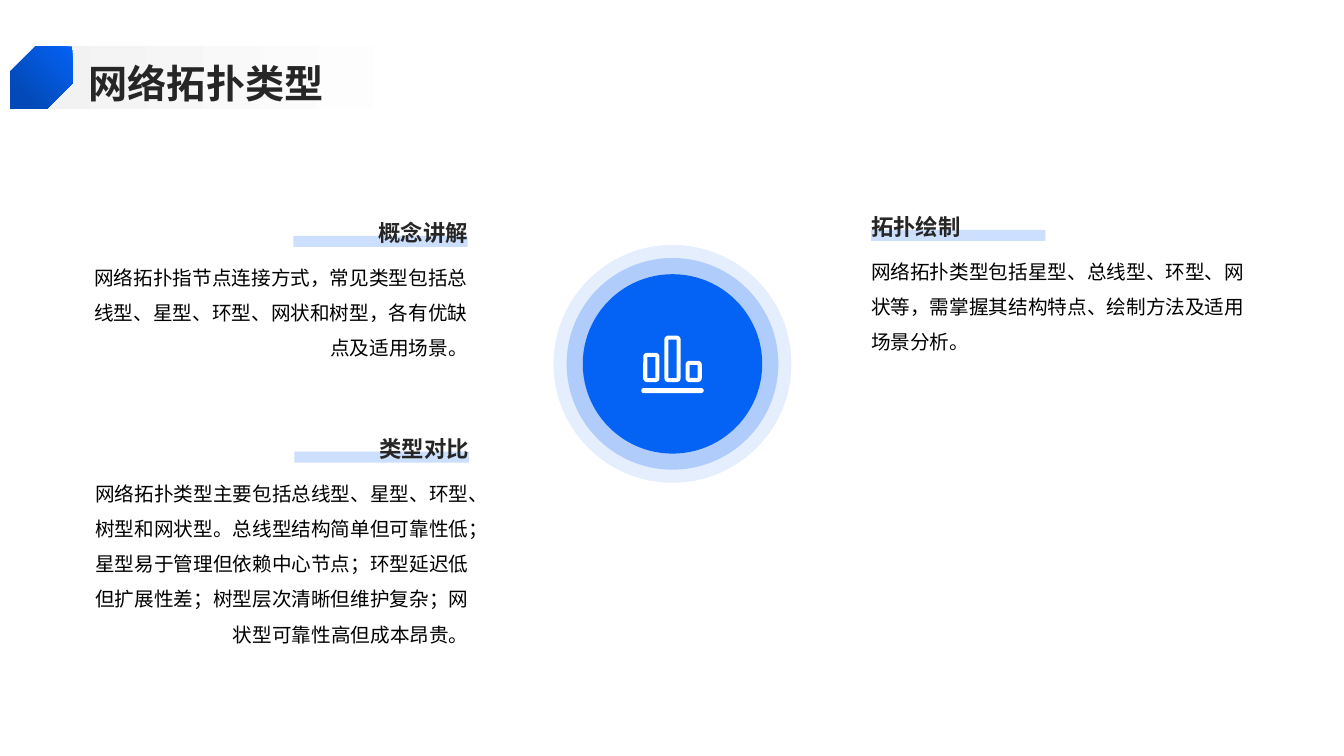
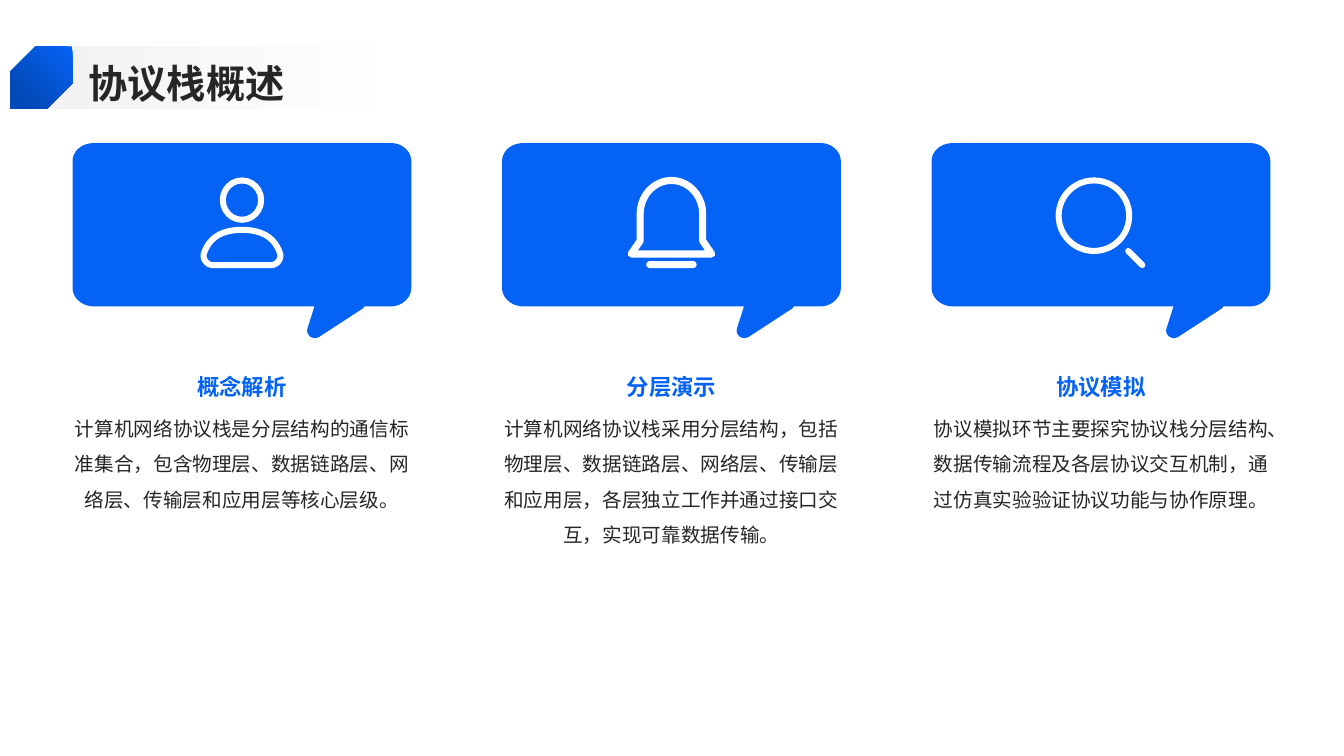
from dataclasses import dataclass

from lxml.etree import SubElement
from pptx import Presentation
from pptx.dml.color import RGBColor as RGB
from pptx.enum.shapes import MSO_CONNECTOR as CONN, MSO_SHAPE as SHAPE
from pptx.enum.text import MSO_ANCHOR as ANCHOR, PP_ALIGN as ALIGN
from pptx.oxml.ns import qn
from pptx.util import Pt

PX = 9144
BEZIER_STEPS = 10


@dataclass(frozen=True)
class Theme:
    """Colours, font and type sizes shared by the slides."""
    blue: str = "0462F5"
    navy: str = "034AB8"
    pale: str = "CCDFFE"
    band: str = "F2F2F2"
    white: str = "FFFFFF"
    ink: str = "262626"
    black: str = "000000"
    font: str = "Noto Sans CJK SC"
    title: int = 28
    heading: int = 16
    body: int = 14


T = Theme()


def px(*values):
    """Turn px lengths into EMU."""
    return [v * PX for v in values]


def paint(sp, fill=None, line=None, weight=0):
    """Give a shape a flat fill and outline without shadow."""
    sp.shadow.inherit = False
    if fill:
        sp.fill.solid()
        sp.fill.fore_color.rgb = RGB.from_string(fill)
    else:
        sp.fill.background()
    if line:
        sp.line.color.rgb = RGB.from_string(line)
        sp.line.width = weight * PX
    else:
        sp.line.fill.background()
    return sp


def shape(s, kind, box, fill=None, line=None, weight=0, adj=()):
    """Add a preset shape."""
    sp = s.shapes.add_shape(kind, *px(*box))
    for i, value in enumerate(adj):
        sp.adjustments[i] = value
    return paint(sp, fill, line, weight)


def gradient(sp, colours, angle):
    """Fill a shape with two colours, the second reached at 80%."""
    sp.fill.gradient()
    sp.fill.gradient_angle = angle
    for stop, colour, position in zip(sp.fill.gradient_stops, colours, (0, 0.8)):
        stop.color.rgb = RGB.from_string(colour)
        stop.position = position


def bezier(a, b, c, d):
    """Return points along a cubic curve, without its start."""
    points = []
    for i in range(1, BEZIER_STEPS + 1):
        t = i / BEZIER_STEPS
        u = 1 - t
        weights = (u ** 3, 3 * u * u * t, 3 * u * t * t, t ** 3)
        points.append(tuple(sum(w * p[k] for w, p in zip(weights, (a, b, c, d)))
                            for k in (0, 1)))
    return points


def outline(s, dx, path, fill=None, line=None, weight=0):
    """Draw a closed outline from points and six-number curves, moved by dx."""
    points = [path[0]]
    for step in path[1:]:
        if len(step) == 2:
            points.append(step)
        else:
            points += bezier(points[-1], step[:2], step[2:4], step[4:])
    emu = [((x + dx) * PX, y * PX) for x, y in points]
    builder = s.shapes.build_freeform(*emu[0], scale=1.0)
    builder.add_line_segments(emu[1:], close=True)
    return paint(builder.convert_to_shape(), fill, line, weight)


def text(s, box, words, size, colour, bold=False, align=ALIGN.LEFT,
         anchor=ANCHOR.TOP, spacing=1.5):
    """Add a wrapped text box without insets."""
    tf = s.shapes.add_textbox(*px(*box)).text_frame
    tf.word_wrap = True
    tf.margin_left = tf.margin_top = tf.margin_right = tf.margin_bottom = 0
    tf.vertical_anchor = anchor
    p = tf.paragraphs[0]
    p.text = words
    p.alignment = align
    p.line_spacing = spacing
    r = p.runs[0]
    r.font.size = Pt(size)
    r.font.bold = bold
    r.font.color.rgb = RGB.from_string(colour)
    r.font.name = T.font
    SubElement(r.font._element, qn("a:ea"), typeface=T.font)


def stroke(s, ends, colour, weight):
    """Add a straight line with round ends."""
    line = s.shapes.add_connector(CONN.STRAIGHT, *px(*ends))
    line.line.color.rgb = RGB.from_string(colour)
    line.line.width = weight * PX
    spPr = line._element.spPr
    spPr.find(qn("a:ln")).set("cap", "rnd")
    SubElement(spPr, qn("a:effectLst"))


def header(s, title):
    """Add the title band, title and corner badge."""
    gradient(shape(s, SHAPE.RECTANGLE, (33, 46, 492, 62)), (T.band, T.white), 0)
    text(s, (88, 54, 1188, 51), title, T.title, T.ink, True,
         anchor=ANCHOR.MIDDLE, spacing=1.1)
    badge = shape(s, SHAPE.SNIP_2_DIAG_RECTANGLE, (10, 46, 62, 62), adj=(0.408, 0))
    gradient(badge, (T.blue, T.navy), 225)


def topic(s, x, y, heading, body, align, height=151):
    """Add an underlined heading with its paragraph."""
    width, bar = 374, 173
    bar_x = x + width - bar if align == ALIGN.RIGHT else x
    shape(s, SHAPE.RECTANGLE, (bar_x, y + 37, bar, 11), T.pale)
    text(s, (x, y, width, 47), heading, T.heading, T.ink, True, align, ANCHOR.BOTTOM)
    text(s, (x, y + 55, width, height), body, T.body, T.black, align=align)


def chart_hub(s, cx, cy):
    """Add concentric discs around a bar chart icon."""
    for radius, alpha in ((118, 10), (105, 24), (89, 100)):
        disc = shape(s, SHAPE.OVAL, (cx - radius, cy - radius, 2 * radius, 2 * radius),
                     T.blue)
        colour = disc._element.spPr.find(".//" + qn("a:srgbClr"))
        SubElement(colour, qn("a:alpha"), val=str(alpha * 1000))
    for i, height in enumerate((25, 42, 17)):
        shape(s, SHAPE.ROUNDED_RECTANGLE,
              (cx - 27 + 21 * i, cy + 16 - height, 12, height),
              line=T.white, weight=4, adj=(0.15,))
    shape(s, SHAPE.ROUNDED_RECTANGLE, (cx - 31, cy + 24, 62, 5), T.white, adj=(0.5,))


def person(s, cx):
    """Add a person icon."""
    shape(s, SHAPE.OVAL, (cx - 19, 179, 38, 39), line=T.white, weight=6)
    outline(s, cx, [(-29, 263), (-34, 263, -39, 258, -38, 252),
                    (-34, 240, -25, 228, 0, 228), (25, 228, 34, 240, 38, 252),
                    (39, 258, 34, 263, 29, 263)], line=T.white, weight=6)


def bell(s, cx):
    """Add a bell icon."""
    outline(s, cx, [(-40, 252), (-31, 239), (-31, 212),
                    (-31, 194, -17, 179, 0, 179), (17, 179, 31, 194, 31, 212),
                    (31, 239), (40, 252)], line=T.white, weight=7)
    shape(s, SHAPE.ROUNDED_RECTANGLE, (cx - 25, 259, 50, 7), T.white, adj=(0.5,))


def magnifier(s, cx):
    """Add a magnifier icon."""
    shape(s, SHAPE.OVAL, (cx - 42, 179, 70, 70), line=T.white, weight=6)
    stroke(s, (cx + 27, 249, cx + 41, 263), T.white, 6)


def card(s, x, icon, heading, body):
    """Add a speech bubble with an icon, a heading and a paragraph."""
    width = 336
    outline(s, x, [(316, 142), (21, 142), (9, 142, 0, 150, 0, 160), (0, 286),
                   (0, 295, 9, 304, 21, 304), (240, 304), (233, 326),
                   (231, 333, 239, 338, 245, 334), (288, 306),
                   (289, 305, 289, 304, 290, 304), (316, 304),
                   (327, 304, 336, 295, 336, 286), (336, 160),
                   (336, 150, 327, 142, 316, 142)], T.blue)
    icon(s, x + width // 2)
    text(s, (x, 402, width, 275), body, T.body, T.ink, align=ALIGN.CENTER)
    text(s, (x, 349, width, 48), heading, T.heading, T.blue, True,
         ALIGN.CENTER, ANCHOR.BOTTOM, 1.3)


def topology_slide(s):
    """Build the slide on network topologies."""
    topic(s, 90, 197, "概念讲解",
          "网络拓扑指节点连接方式，常见类型包括总线型、星型、环型、网状和树型，"
          "各有优缺点及适用场景。", ALIGN.RIGHT)
    topic(s, 91, 411, "类型对比",
          "网络拓扑类型主要包括总线型、星型、环型、树型和网状型。"
          "总线型结构简单但可靠性低；星型易于管理但依赖中心节点；"
          "环型延迟低但扩展性差；树型层次清晰但维护复杂；"
          "网状型可靠性高但成本昂贵。", ALIGN.RIGHT)
    topic(s, 864, 191, "拓扑绘制",
          "网络拓扑类型包括星型、总线型、环型、网状等，"
          "需掌握其结构特点、绘制方法及适用场景分析。", ALIGN.LEFT, 295)
    chart_hub(s, 667, 361)
    header(s, "网络拓扑类型")


def protocol_slide(s):
    """Build the slide on the protocol stack."""
    cards = (
        (person, "概念解析",
         "计算机网络协议栈是分层结构的通信标准集合，"
         "包含物理层、数据链路层、网络层、传输层和应用层等核心层级。"),
        (bell, "分层演示",
         "计算机网络协议栈采用分层结构，包括物理层、数据链路层、网络层、"
         "传输层和应用层，各层独立工作并通过接口交互，实现可靠数据传输。"),
        (magnifier, "协议模拟",
         "协议模拟环节主要探究协议栈分层结构、数据传输流程及各层协议交互机制，"
         "通过仿真实验验证协议功能与协作原理。"),
    )
    for i, content in enumerate(cards):
        card(s, 72 + 426 * i, *content)
    header(s, "协议栈概述")


def main():
    """Build and save the presentation."""
    prs = Presentation()
    prs.slide_width, prs.slide_height = px(1333, 750)
    for build in (topology_slide, protocol_slide):
        build(prs.slides.add_slide(prs.slide_layouts[6]))
    prs.save("out.pptx")


if __name__ == "__main__":
    main()
